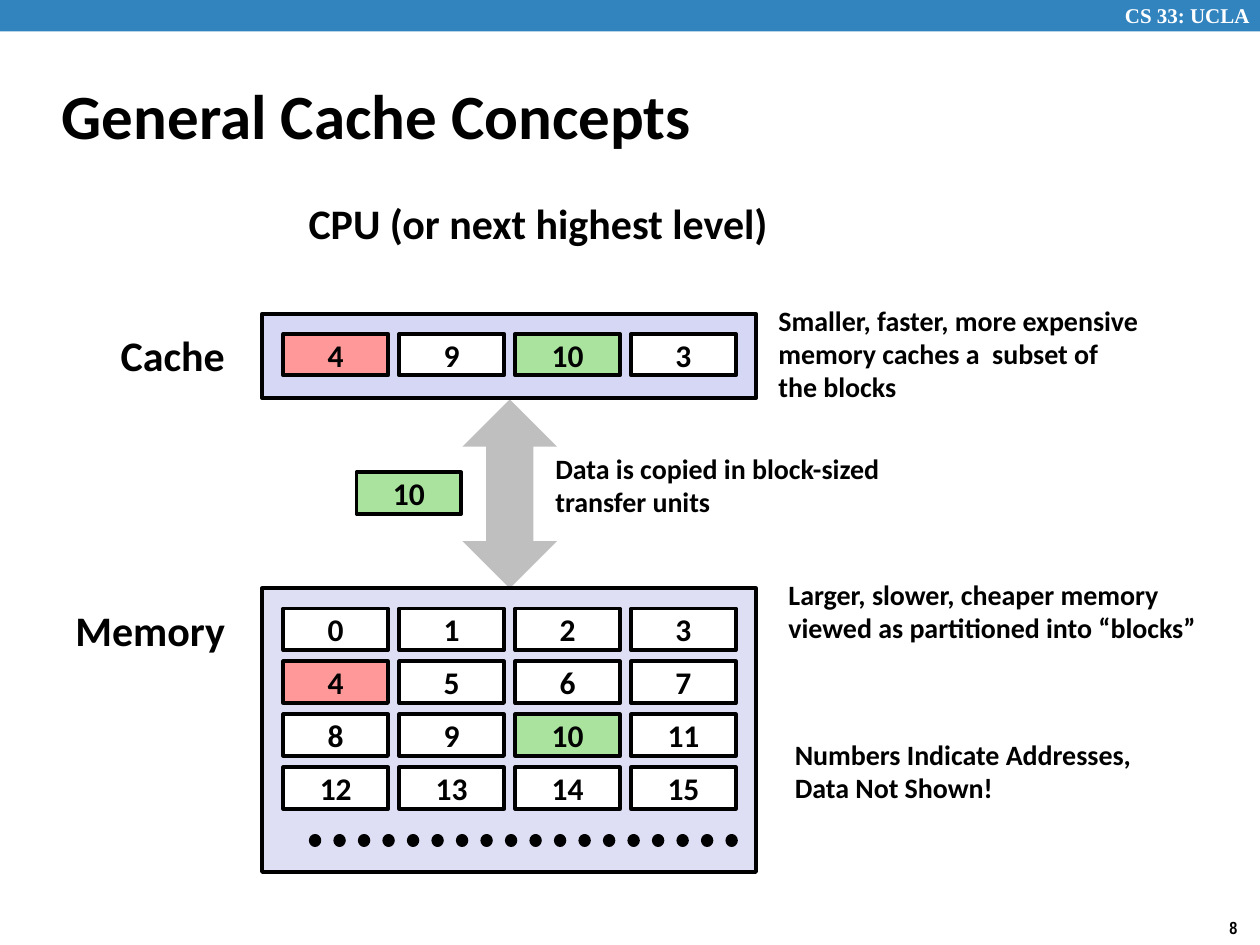
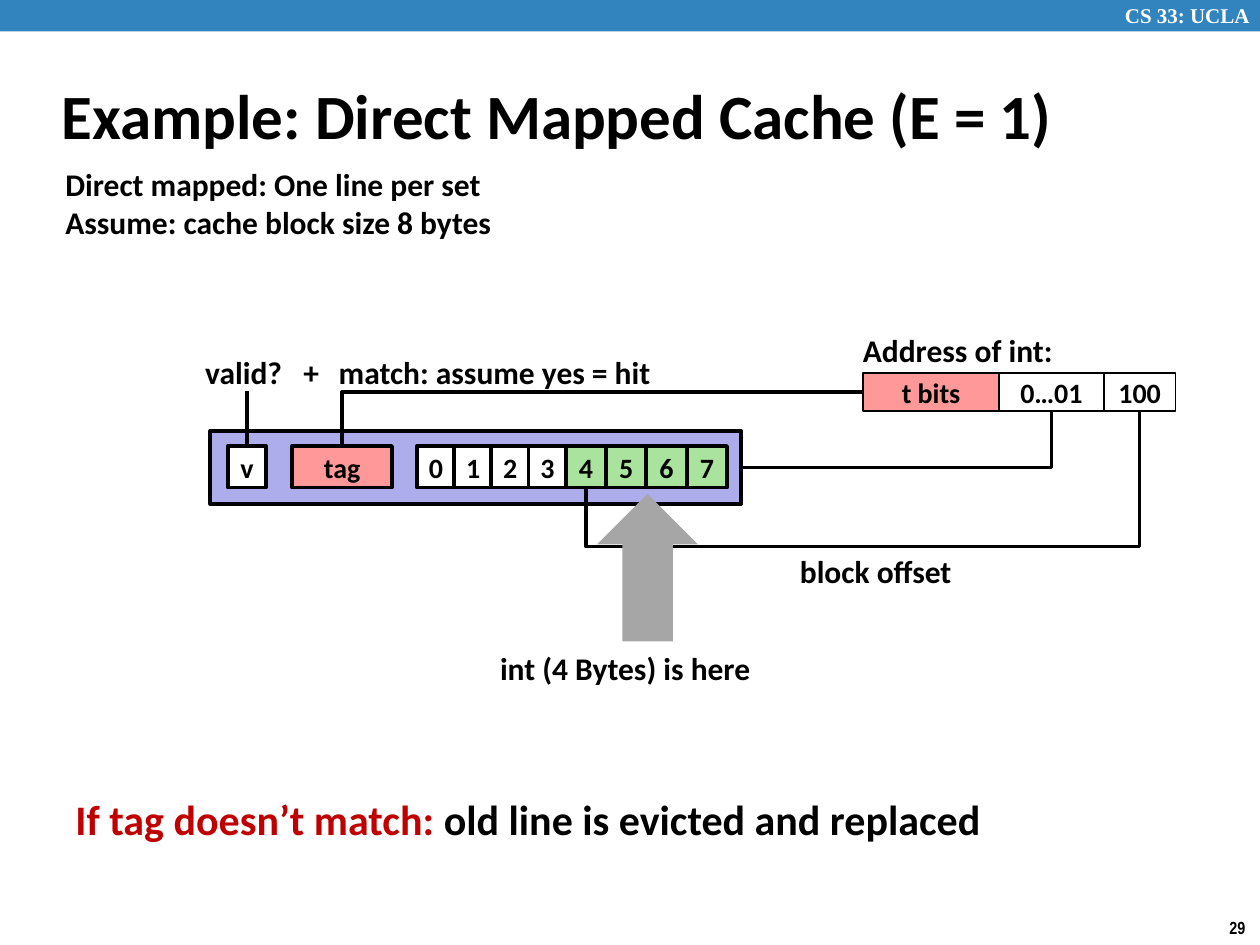
from dataclasses import dataclass

from lxml import etree
from pptx import Presentation
from pptx.dml.color import RGBColor
from pptx.enum.dml import MSO_LINE
from pptx.enum.shapes import MSO_CONNECTOR, MSO_SHAPE
from pptx.enum.text import MSO_ANCHOR, MSO_AUTO_SIZE, PP_ALIGN
from pptx.oxml.ns import qn
from pptx.util import Inches, Pt

RECTANGLE = MSO_SHAPE.RECTANGLE
UP_ARROW = MSO_SHAPE.UP_ARROW
UP_DOWN_ARROW = MSO_SHAPE.UP_DOWN_ARROW
STRAIGHT = MSO_CONNECTOR.STRAIGHT
ELBOW = MSO_CONNECTOR.ELBOW
ROUND_DOT = MSO_LINE.ROUND_DOT
TOP, MIDDLE = MSO_ANCHOR.TOP, MSO_ANCHOR.MIDDLE
LEFT, CENTER = PP_ALIGN.LEFT, PP_ALIGN.CENTER
NO_FIT, GROW = MSO_AUTO_SIZE.NONE, MSO_AUTO_SIZE.SHAPE_TO_FIT_TEXT
TITLE_ONLY = 5


@dataclass(frozen=True)
class Theme:
    body_font: str = "Calibri"
    header_font: str = "Times New Roman"
    number_font: str = "Arial Narrow"
    title: int = 36
    heading: int = 24
    label: int = 18
    note: int = 16
    header: int = 12
    number: int = 10
    black: str = "000000"
    white: str = "FFFFFF"
    band: str = "3284BF"
    red: str = "FF9999"
    green: str = "A9E39D"
    cache: str = "D6D6F5"
    memory: str = "DEDFF5"
    cache_line: str = "ADADEB"
    transfer_arrow: str = "BFBFBF"
    pointer_arrow: str = "A6A6A6"
    warning: str = "C00000"
    border: float = 2.25
    thin_border: float = 1
    wire: float = 2
    dots: float = 7


THEME = Theme()


@dataclass(frozen=True)
class Box:
    """A region in inches; inner() gives a box placed relative to it."""
    left: float
    top: float
    width: float
    height: float

    def inner(self, left, top, width, height):
        return Box(self.left + left, self.top + top, width, height)

    def lengths(self):
        return [Inches(value) for value in (self.left, self.top, self.width, self.height)]


# Shared helpers
def colour(value):
    return RGBColor.from_string(value)


def style_paragraph(paragraph, size, font=THEME.body_font, font_colour=THEME.black, alignment=LEFT):
    paragraph.alignment = alignment
    for run in paragraph.runs:
        run.font.name = font
        run.font.size = Pt(size)
        run.font.bold = True
        run.font.color.rgb = colour(font_colour)


def add_label(slide, box, text, size, wrap=False, anchor=TOP, spacing=None, tab=None, **style):
    frame = slide.shapes.add_textbox(*box.lengths()).text_frame
    frame.word_wrap = wrap
    frame.auto_size = GROW
    frame.vertical_anchor = anchor
    frame.text = text
    for paragraph in frame.paragraphs:
        if tab:
            tabs = etree.SubElement(paragraph._p.get_or_add_pPr(), qn("a:tabLst"))
            etree.SubElement(tabs, qn("a:tab"), pos=str(Inches(tab)), algn="l")
        if spacing:
            paragraph.line_spacing = spacing
        style_paragraph(paragraph, size, **style)
    return frame


def add_note(slide, box, text, wrap=False):
    add_label(slide, box, text, THEME.note, wrap, MIDDLE, spacing=0.98)


def add_block(slide, box, fill, text="", size=THEME.label, border=THEME.border,
              kind=RECTANGLE, wrap=True):
    shape = slide.shapes.add_shape(kind, *box.lengths())
    shape.shadow.inherit = False
    shape.fill.solid()
    shape.fill.fore_color.rgb = colour(fill)
    if border:
        shape.line.color.rgb = colour(THEME.black)
        shape.line.width = Pt(border)
    else:
        shape.line.fill.background()
    if text:
        frame = shape.text_frame
        frame.word_wrap = wrap
        frame.vertical_anchor = MIDDLE
        frame.text = text
        style_paragraph(frame.paragraphs[0], size, alignment=CENTER)
    return shape


def add_line(slide, start, end, width=THEME.wire, kind=STRAIGHT):
    connector = slide.shapes.add_connector(kind, *start, *end)
    connector.line.color.rgb = colour(THEME.black)
    connector.line.width = Pt(width)
    etree.SubElement(connector._element.spPr, qn("a:effectLst"))
    return connector


def add_corner(slide, start, end):
    """One bend: across from the start, then up or down to the end."""
    connector = add_line(slide, start, end, kind=ELBOW)
    connector._element.spPr.find(qn("a:prstGeom")).set("prst", "bentConnector2")


def add_underpass(slide, start, end, level):
    """Two bends: down from the start to a level, across, and up to the end."""
    (start_x, start_y), (end_x, end_y) = start, end
    drop, span = end_y - start_y, start_x - end_x
    left = (start_x + end_x - drop) // 2
    top = (start_y + end_y - span) // 2
    connector = add_line(slide, (left, top), (left + drop, top + span), kind=ELBOW)
    properties = connector._element.spPr
    properties.find(qn("a:xfrm")).set("rot", "5400000")
    geometry = properties.find(qn("a:prstGeom"))
    for old_adjustments in geometry.findall(qn("a:avLst")):
        geometry.remove(old_adjustments)
    adjustments = etree.SubElement(geometry, qn("a:avLst"))
    bend = round((level - start_y) / drop * 100000)
    etree.SubElement(adjustments, qn("a:gd"), name="adj1", fmla=f"val {bend}")


def top_middle(shape):
    return shape.left + shape.width // 2, shape.top


def bottom_middle(shape):
    return shape.left + shape.width // 2, shape.top + shape.height


def add_titled_slide(presentation, title, number):
    slide = presentation.slides.add_slide(presentation.slide_layouts[TITLE_ONLY])
    # Band, course name and page number
    add_block(slide, Box(0, 0, 10, 0.25), THEME.band, border=None)
    add_label(slide, Box(8.83, -0.03, 1.24, 0.3), "CS 33: UCLA", THEME.header,
              font=THEME.header_font, font_colour=THEME.white)
    add_label(slide, Box(9.66, 7.23, 0.34, 0.27), number, THEME.number, font=THEME.number_font)
    # Title
    placeholder = slide.shapes.title
    placeholder.left, placeholder.top, placeholder.width, placeholder.height = (
        Box(0.39, 0.49, 8.3, 0.83).lengths())
    frame = placeholder.text_frame
    frame.auto_size = NO_FIT
    frame.vertical_anchor = MIDDLE
    frame.text = title
    style_paragraph(frame.paragraphs[0], THEME.title)
    return slide


# Slide: general cache concepts
BLOCK_WIDTH, BLOCK_HEIGHT = 0.83, 0.33
COLUMN_PITCH, ROW_PITCH = 0.92, 0.42
BLOCK_COLOURS = {4: THEME.red, 10: THEME.green}


def add_numbered_block(slide, box, number):
    add_block(slide, box, BLOCK_COLOURS.get(number, THEME.white), str(number))


def add_storage(slide, box, fill, rows):
    """A level of storage with its grid of numbered blocks."""
    add_block(slide, box, fill)
    for row, numbers in enumerate(rows):
        for column, number in enumerate(numbers):
            add_numbered_block(slide, box.inner(0.17 + column * COLUMN_PITCH, 0.16 + row * ROW_PITCH,
                                                BLOCK_WIDTH, BLOCK_HEIGHT), number)


def add_cache(slide, box):
    add_storage(slide, box, THEME.cache, [[4, 9, 10, 3]])
    add_label(slide, box.inner(-1.22, 0.08, 1.04, 0.5), "Cache", THEME.heading)
    add_note(slide, box.inner(4, -0.12, 3.21, 0.89),
             "Smaller, faster, more expensive\nmemory caches a  subset of\nthe blocks")


def add_transfer(slide, box):
    add_block(slide, box, THEME.transfer_arrow, border=None, kind=UP_DOWN_ARROW)
    add_numbered_block(slide, box.inner(-0.84, 0.58, BLOCK_WIDTH, BLOCK_HEIGHT), 10)
    add_note(slide, box.inner(0.64, 0.37, 3.1, 0.63),
             "Data is copied in block-sized transfer units", wrap=True)


def add_memory(slide, box):
    add_storage(slide, box, THEME.memory, [range(first, first + 4) for first in range(0, 16, 4)])
    dots_y = Inches(box.top + 2)
    dots = add_line(slide, (Inches(box.left + 0.42), dots_y), (Inches(box.left + 3.75), dots_y),
                    THEME.dots)
    dots.line.dash_style = ROUND_DOT
    dots._element.spPr.find(qn("a:ln")).set("cap", "rnd")
    add_label(slide, box.inner(-1.58, 0.08, 1.4, 0.5), "Memory", THEME.heading)
    add_note(slide, box.inner(4.08, -0.13, 3.5, 0.63),
             "Larger, slower, cheaper memory\nviewed as partitioned into “blocks”")
    add_note(slide, box.inner(4.13, 1.14, 2.96, 0.63),
             "Numbers Indicate Addresses, Data Not Shown!", wrap=True)


def build_concepts(presentation):
    slide = add_titled_slide(presentation, "General Cache Concepts", "8")
    add_label(slide, Box(2.35, 1.52, 3.89, 0.5), "CPU (or next highest level)", THEME.heading)
    add_transfer(slide, Box(3.67, 3.17, 0.75, 1.5))
    add_cache(slide, Box(2.08, 2.49, 3.92, 0.67))
    add_memory(slide, Box(2.08, 4.67, 3.92, 2.25))


# Slide: direct mapped cache
def add_address(slide, box):
    """The address fields, returned from left to right."""
    add_label(slide, box.inner(-0.1, -0.38, 1.72, 0.4), "Address of int:", THEME.label)
    fields, left = [], 0
    for text, width, fill in (("t bits", 1.08, THEME.red), ("0…01", 0.83, THEME.white),
                              ("100", 0.57, THEME.white)):
        fields.append(add_block(slide, box.inner(left, 0, width, box.height), fill, text,
                                THEME.note, THEME.thin_border))
        left += width
    return fields


def add_cache_line(slide, box):
    """The line with its valid bit, tag and eight bytes."""
    line = add_block(slide, box, THEME.cache_line)

    def add_field(left, width, fill, text):
        return add_block(slide, box.inner(left, 0.12, width, BLOCK_HEIGHT), fill, text,
                         THEME.note, wrap=False)

    valid = add_field(0.14, 0.3, THEME.white, "v")
    tag = add_field(0.65, 0.79, THEME.red, "tag")
    bytes_left, int_left, int_pitch = 1.64, 2.82, 0.32
    pitch = (int_left - bytes_left) / 4
    for index in range(4):
        add_field(bytes_left + index * pitch, 0.3, THEME.white, str(index))
    int_bytes = [add_field(int_left + index * int_pitch, int_pitch, THEME.green, str(index + 4))
                 for index in range(4)]
    return line, valid, tag, int_bytes[0]


def add_wiring(slide, fields, line, valid, tag, first_byte):
    tag_bits, set_bits, offset_bits = fields
    middle_right = (line.left + line.width, line.top + line.height // 2)
    add_corner(slide, middle_right, bottom_middle(set_bits))
    add_corner(slide, (tag_bits.left, tag_bits.top + tag_bits.height // 2), top_middle(tag))
    valid_x, valid_y = top_middle(valid)
    valid_line = add_line(slide, (valid_x, Inches(3.1)), (valid_x, valid_y))
    valid_line.end_connect(valid, 0)
    add_underpass(slide, bottom_middle(offset_bits), bottom_middle(first_byte), Inches(4.34))


def add_pointer(slide, box):
    add_block(slide, box, THEME.pointer_arrow, border=None, kind=UP_ARROW)
    add_label(slide, box.inner(-0.87, 1.18, 2.21, 0.4), "int (4 Bytes) is here", THEME.label)


def add_conclusion(slide, box):
    frame = add_label(slide, box, "If tag doesn’t match: ", THEME.heading)
    paragraph = frame.paragraphs[0]
    paragraph.add_run().text = "old line is evicted and replaced"
    style_paragraph(paragraph, THEME.heading)
    paragraph.runs[0].font.color.rgb = colour(THEME.warning)


def build_direct_mapped(presentation):
    slide = add_titled_slide(presentation, "Example: Direct Mapped Cache (E = 1)", "29")
    add_label(slide, Box(0.42, 1.26, 3.61, 0.71),
              "Direct mapped: One line per set\nAssume: cache block size 8 bytes", THEME.label)
    fields = add_address(slide, Box(6.85, 2.96, 2.48, 0.3))
    line_shapes = add_cache_line(slide, Box(1.67, 3.42, 4.21, 0.58))
    add_wiring(slide, fields, *line_shapes)
    add_label(slide, Box(2.59, 2.75, 2.7, 0.4), "match: assume yes = hit", THEME.label)
    add_label(slide, Box(1.53, 2.75, 1.12, 0.4), "valid?\t+", THEME.label, wrap=True, tab=0.78)
    add_pointer(slide, Box(4.74, 3.92, 0.8, 1.17))
    add_label(slide, Box(6.25, 4.33, 1.42, 0.4), "block offset", THEME.label)
    add_conclusion(slide, Box(0.5, 6.25, 7.46, 0.5))


def main():
    presentation = Presentation()
    presentation.slide_width = Inches(10)
    presentation.slide_height = Inches(7.5)
    build_concepts(presentation)
    build_direct_mapped(presentation)
    presentation.save("out.pptx")


if __name__ == "__main__":
    main()
